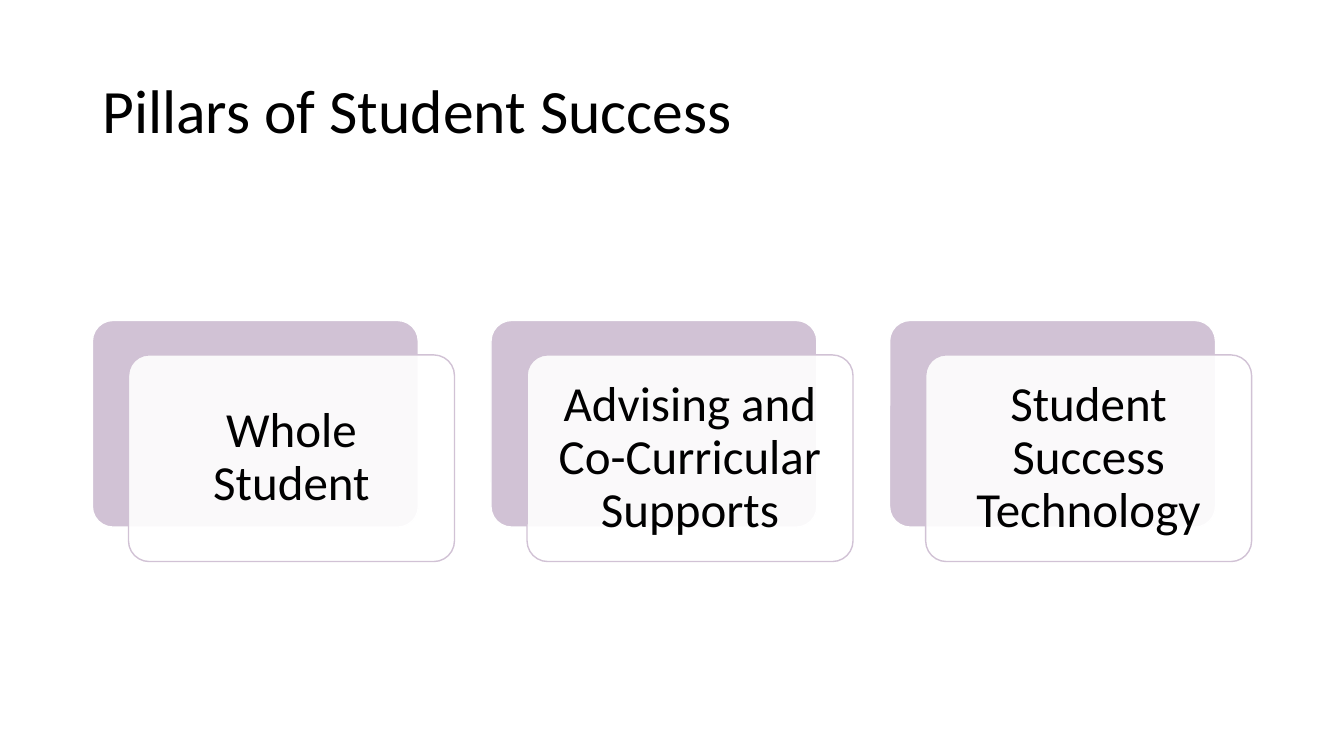
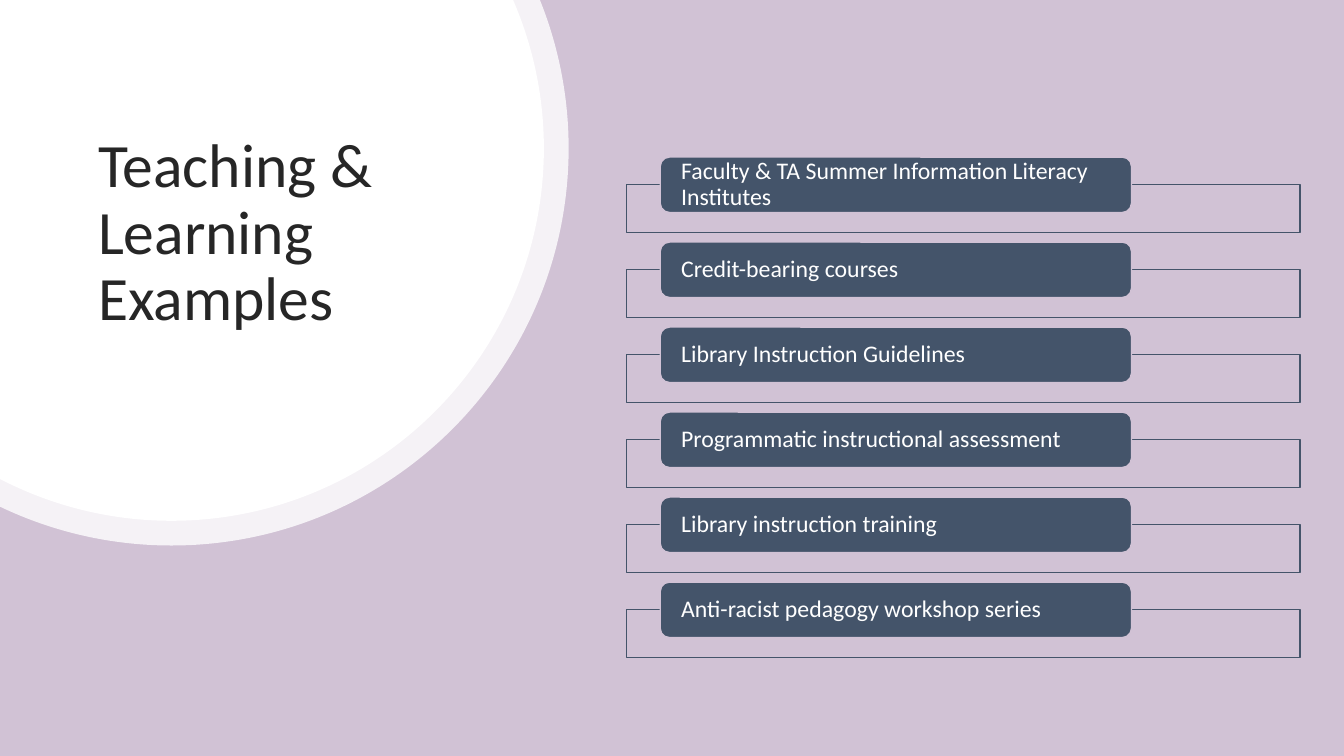
from dataclasses import dataclass
from itertools import pairwise
from math import acos, asin, cos, pi, sin, tan

from lxml.etree import SubElement
from pptx import Presentation
from pptx.dml.color import RGBColor as RGB
from pptx.enum.shapes import MSO_SHAPE as Kind
from pptx.enum.text import MSO_ANCHOR as Anchor, PP_ALIGN as Align
from pptx.oxml.ns import qn
from pptx.util import Emu, Inches, Pt

# The slide is a grid of 160 columns by 90 rows of square cells.
COLS, ROWS, CELL = 160, 90, 76200


@dataclass(frozen=True)
class Theme:
    font: str = "Calibri"
    white: str = "FFFFFF"
    black: str = "000000"
    ink: str = "262626"
    lilac: str = "D1C2D5"
    slate: str = "44546A"
    title: int = 44
    pillar: int = 35
    item: int = 17


THEME = Theme()

PILLARS = [
    "Whole Student",
    "Advising and Co-Curricular Supports",
    "Student Success Technology",
]
ITEMS = [
    "Faculty & TA Summer Information Literacy Institutes",
    "Credit-bearing courses",
    "Library Instruction Guidelines",
    "Programmatic instructional assessment",
    "Library instruction training",
    "Anti-racist pedagogy workshop series",
]


def grid(*cells):
    return [Emu(round(n * CELL)) for n in cells]


def write(shape, text, size, color, align=Align.LEFT, pad=(0.1, 0.05)):
    """Set middle-anchored text; pad is the side and top inset in inches."""
    frame = shape.text_frame
    frame.word_wrap = True
    frame.vertical_anchor = Anchor.MIDDLE
    frame.margin_left = frame.margin_right = Inches(pad[0])
    frame.margin_top = frame.margin_bottom = Inches(pad[1])
    para = frame.paragraphs[0]
    para.alignment = align
    para.line_spacing = 0.9
    run = para.add_run()
    run.text = text
    run.font.name = THEME.font
    run.font.size = Pt(size)
    run.font.color.rgb = RGB.from_string(color)


def paint(shape, fill, line=None, alpha=100):
    """Fill and outline a shape; alpha is the opacity in percent."""
    shape.shadow.inherit = False
    shape.fill.solid()
    shape.fill.fore_color.rgb = RGB.from_string(fill)
    if alpha < 100:
        tint = shape._element.spPr.find(qn("a:solidFill"))[0]
        SubElement(tint, qn("a:alpha")).set("val", str(alpha * 1000))
    if line:
        shape.line.color.rgb = RGB.from_string(line)
        shape.line.width = Pt(1)
    else:
        shape.line.fill.background()


def block(slide, kind, cells, fill, line, alpha=100, bend=None):
    shape = slide.shapes.add_shape(kind, *grid(*cells))
    if bend is not None:
        shape.adjustments[0] = bend
    paint(shape, fill, line, alpha)
    return shape


def curve(shape, count):
    """Turn the lines after the first into count curves of three points."""
    lines = list(shape._element.iter(qn("a:lnTo")))[1:]
    for n in range(count):
        trio = lines[3 * n:3 * n + 3]
        bow = trio[0].makeelement(qn("a:cubicBezTo"))
        trio[0].addprevious(bow)
        for line in trio:
            bow.append(line[0])
            line.getparent().remove(line)


def disc(slide, mid_x, mid_y, radius, alpha=100):
    """Draw the part of a disc that lies inside the slide's top left corner."""

    def spot(turn, lean=0):
        """Point on the rim, moved along its tangent by lean radii."""
        return grid(mid_x + radius * (cos(turn) - lean * sin(turn)),
                    mid_y + radius * (sin(turn) + lean * cos(turn)))

    turns = [-asin(mid_y / radius), 0, pi / 2, pi - acos(mid_x / radius)]
    rim = [spot(turns[0])]
    for a, b in pairwise(turns):
        lean = 4 / 3 * tan((b - a) / 4)
        rim += [spot(a, lean), spot(b, -lean), spot(b)]
    path = slide.shapes.build_freeform(0, 0)
    path.add_line_segments(rim, close=True)
    shape = path.convert_to_shape()
    curve(shape, len(turns) - 1)
    paint(shape, THEME.white, alpha=alpha)


def start(deck, back):
    slide = deck.slides.add_slide(deck.slide_layouts[6])
    fill = slide.background.fill
    fill.solid()
    fill.fore_color.rgb = RGB.from_string(back)
    return slide


def head(slide, text, cells, color):
    box = slide.shapes.add_textbox(*grid(*cells))
    write(box, text, THEME.title, color)


def pillar(slide, left, text):
    top, wide, high = 38.15, 38.8, 24.6
    block(slide, Kind.ROUNDED_RECTANGLE, (left, top, wide, high),
          THEME.lilac, THEME.white, bend=0.1)
    card = block(slide, Kind.ROUNDED_RECTANGLE,
                 (left + 4.3, top + 4.1, wide, high),
                 THEME.white, THEME.lilac, alpha=90, bend=0.1)
    write(card, text, THEME.pillar, THEME.black, Align.CENTER, (0.15, 0.15))


def item(slide, top, text):
    block(slide, Kind.RECTANGLE, (74.6, top + 3.3, 80.15, 5.65),
          THEME.lilac, THEME.slate, alpha=90)
    label = block(slide, Kind.ROUNDED_RECTANGLE, (78.6, top, 56.1, 6.6),
                  THEME.slate, THEME.lilac)
    write(label, text, THEME.item, THEME.white, pad=(0.18, 0))


def main():
    deck = Presentation()
    deck.slide_width, deck.slide_height = grid(COLS, ROWS)

    slide = start(deck, THEME.white)
    head(slide, "Pillars of Student Success", (11, 4.8, 138, 17.4),
         THEME.black)
    for n, text in enumerate(PILLARS):
        pillar(slide, 11 + 47.45 * n, text)

    slide = start(deck, THEME.lilac)
    for radius, alpha in ((47.3, 80), (44.35, 100)):
        disc(slide, 20.4, 17.65, radius, alpha)
    head(slide, "Teaching & Learning Examples", (10.5, 8, 42.2, 39.8),
         THEME.ink)
    for n, text in enumerate(ITEMS):
        item(slide, 18.7 + 10.12 * n, text)

    deck.save("out.pptx")


if __name__ == "__main__":
    main()
